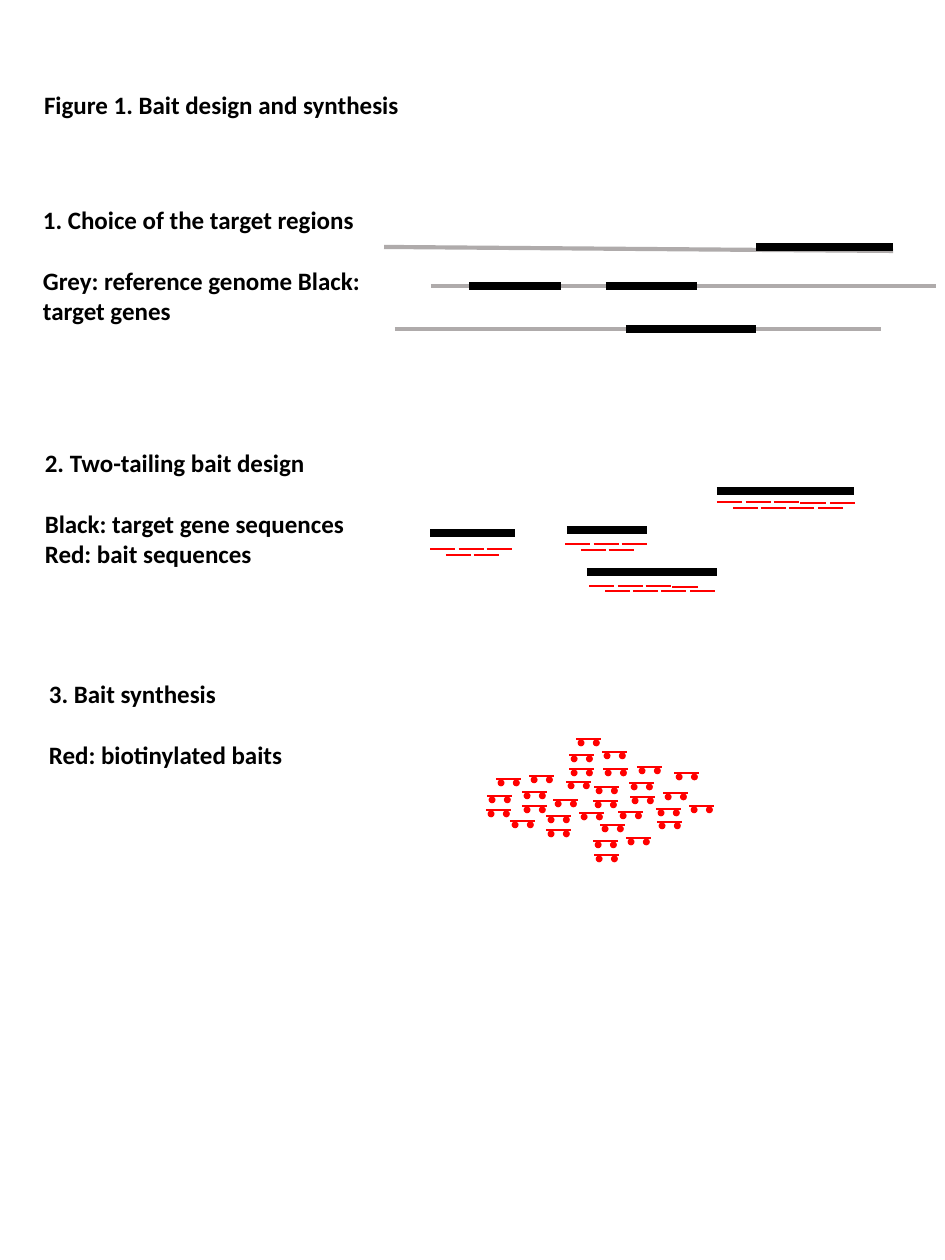
from lxml.etree import SubElement
from pptx import Presentation
from pptx.dml.color import RGBColor
from pptx.enum.shapes import MSO_CONNECTOR, MSO_SHAPE
from pptx.enum.text import MSO_ANCHOR, MSO_AUTO_SIZE, PP_ALIGN
from pptx.oxml.ns import qn
from pptx.util import Pt

BLACK, GREY, RED = "000000", "AFABAB", "FF0000"
FONT, SIZE, HEADING_GAP = "Calibri", 18, 22

TITLE = ("Figure 1. Bait design and synthesis", (24.5, 60.5, 520.6, 28.8))
SECTIONS = [
    ((23.8, 144, 252.7, 94.3), "1. Choice of the target regions",
     ["Grey: reference genome Black: target genes"]),
    ((25.2, 319, 235.4, 94.3), "2. Two-tailing bait design",
     ["Black: target gene sequences", "Red: bait sequences"]),
    ((28.1, 485.3, 185.8, 72.7), "3. Bait synthesis",
     ["Red: biotinylated baits"]),
]
GENOMES = [(310.3, 205.9, 673.9, 205.9), (284.4, 236.9, 634.3, 236.9),
           (276.5, 177.8, 643, 180.7)]
TARGET_GENES = [(337.7, 403.9, 205.9), (450.7, 544.3, 236.9),
                (544.3, 643, 177.8), (436.3, 501.8, 205.9)]
GENE_SEQUENCES = [(309.6, 370.8, 383.8), (422.6, 516.2, 411.8),
                  (516.2, 614.9, 353.5), (408.2, 465.8, 381.6)]
TILINGS = [(309.6, 395.3, 3, 2), (406.8, 391.7, 3, 2),
           (424.1, 421.7, 4, 4), (516.2, 361.6, 5, 4)]
UPPER_OFFSETS = [0, 20.7, 40.8, 60.1, 81.4]
LOWER_OFFSETS = [11.5, 31.5, 51.8, 72.7]
LOWER_DROP, BAIT_LENGTH = 4, 18.3
DOT_SIZE, DOT_OFFSETS, DOT_DROP = 5, (1.2, 12.2), 0.3
BAITS = [
    (452.9, 563.8), (472.3, 582.5), (453.6, 573.8), (473, 591.8),
    (458.6, 552.2), (477.4, 571), (427.7, 566.6), (434.2, 553.7),
    (485.3, 556.6), (445, 584.6), (496.1, 580.3), (427, 576.7),
    (375.8, 570.2), (393.1, 587.5), (375.8, 580.3), (393.1, 597.6),
    (380.9, 558.7), (398.2, 576), (350.6, 573.1), (357.1, 560.9),
    (407.5, 563), (367.2, 591.1), (416.9, 585.4), (349.9, 583.2),
    (427, 605.5), (427.7, 615.6), (432, 594), (450.7, 603.4),
    (409.7, 543.6), (409.7, 553.7), (414.7, 532.1), (433.4, 541.4),
]


def color(value):
    return RGBColor.from_string(value)


def line(x1, y1, x2, y2, hue, width):
    c = s.shapes.add_connector(MSO_CONNECTOR.STRAIGHT, Pt(x1), Pt(y1), Pt(x2), Pt(y2))
    c.line.color.rgb = color(hue)
    c.line.width = Pt(width)
    SubElement(c._element.spPr, qn("a:effectLst"))


def bait(x, y):
    line(x, y, x + BAIT_LENGTH, y, RED, 1.5)


def dot(x, y):
    sp = s.shapes.add_shape(MSO_SHAPE.OVAL, Pt(x), Pt(y), Pt(DOT_SIZE), Pt(DOT_SIZE))
    sp.shadow.inherit = False
    sp.fill.solid()
    sp.fill.fore_color.rgb = color(RED)
    sp.line.fill.background()


def write(sp, paragraphs):
    tf = sp.text_frame
    tf.word_wrap = True
    tf.auto_size = MSO_AUTO_SIZE.NONE
    tf.vertical_anchor = MSO_ANCHOR.TOP
    for i, text in enumerate(paragraphs):
        p = tf.add_paragraph() if i else tf.paragraphs[0]
        p.alignment = PP_ALIGN.LEFT
        p.line_spacing = 1.0
        p.space_before = Pt(HEADING_GAP if i == 1 else 0)
        r = p.add_run()
        r.text = text
        r.font.name = FONT
        r.font.size = Pt(SIZE)
        r.font.bold = True
        r.font.color.rgb = color(BLACK)


prs = Presentation()
prs.slide_width, prs.slide_height = Pt(680.4), Pt(907.2)
s = prs.slides.add_slide(prs.slide_layouts[5])

title, box = TITLE
sp = s.shapes.title
sp.left, sp.top, sp.width, sp.height = map(Pt, box)
write(sp, [title])

for genome in GENOMES:
    line(*genome, GREY, 3)
for x1, x2, y in TARGET_GENES + GENE_SEQUENCES:
    line(x1, y, x2, y, BLACK, 6)

for x, y, upper, lower in TILINGS:
    for i, dx in enumerate(UPPER_OFFSETS[:upper]):
        bait(x + dx, y + (0.7 if i > 2 else 0))
    for dx in LOWER_OFFSETS[:lower]:
        bait(x + dx, y + LOWER_DROP)

for x, y in BAITS:
    bait(x, y)
    for dx in DOT_OFFSETS:
        dot(x + dx, y + DOT_DROP)

for box, heading, legend in SECTIONS:
    write(s.shapes.add_textbox(*map(Pt, box)), [heading, *legend])

prs.save("out.pptx")
